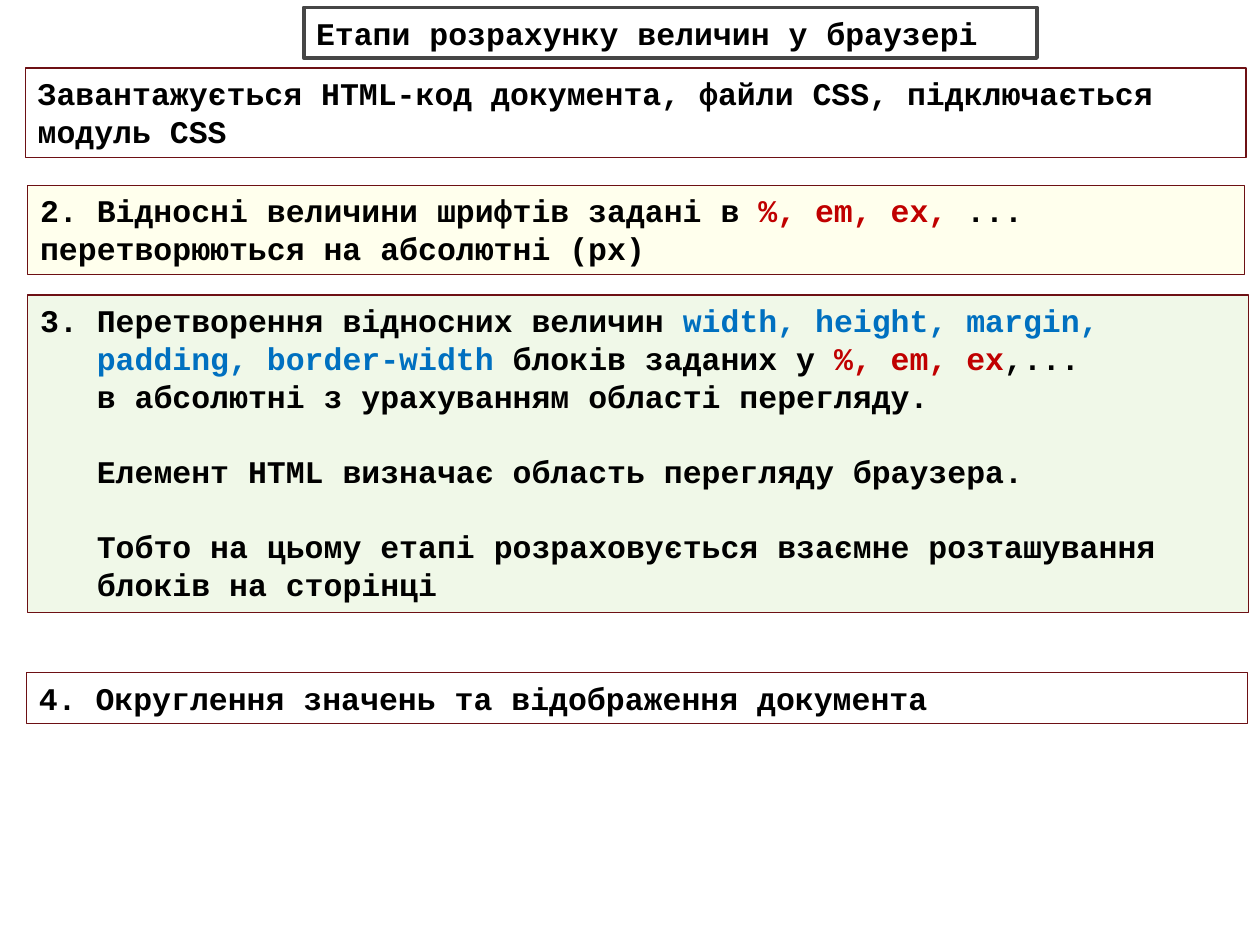
from lxml import etree
from pptx import Presentation
from pptx import util as u
from pptx.dml.color import RGBColor
from pptx.enum import shapes, text
from pptx.oxml.ns import qn

BLACK = RGBColor(0x00, 0x00, 0x00)
RED = RGBColor(0xC0, 0x00, 0x00)
BLUE = RGBColor(0x00, 0x70, 0xC0)
GREY = RGBColor(0x46, 0x46, 0x46)
MAROON = RGBColor(0x6D, 0x10, 0x14)
YELLOW = RGBColor(0xFF, 0xFF, 0x00)
GREEN = RGBColor(0x92, 0xD0, 0x50)

FONT, SIZE = "Courier New", 18
LINE = 21.5                  # height of one text line, points
HANG = 3 * 0.6 * SIZE        # width of the "3. " label, points

# A paragraph is (lines of space before, spans); a span is (words, colour).
TITLE = [(0, [("Етапи розрахунку величин у браузері", BLACK)])]
LOADING = [(0, [("Завантажується HTML-код документа, файли CSS, "
                 "підключається модуль CSS", BLACK)])]
FONT_SIZES = [(0, [("2. Відносні величини шрифтів задані в ", BLACK),
                   ("%, em, ex,", RED),
                   (" ... перетворюються на абсолютні (px)", BLACK)])]
BLOCK_SIZES = [
    (0, [("3. Перетворення відносних величин ", BLACK),
         ("width, height, margin,", BLUE)]),
    (0, [("padding, border-width ", BLUE), ("блоків заданих у ", BLACK),
         ("%, em, ex", RED), (",...", BLACK)]),
    (0, [("в абсолютні з урахуванням області перегляду.", BLACK)]),
    (1, [("Елемент HTML визначає область перегляду браузера.", BLACK)]),
    (1, [("Тобто на цьому етапі розраховується взаємне розташування", BLACK)]),
    (0, [("блоків на сторінці", BLACK)]),
]
ROUNDING = [(0, [("4. Округлення значень та відображення документа", BLACK)])]

# (left, top, width, height), fill, opacity in percent, paragraphs
STAGES = [
    ((0.2, 0.54, 9.69, 0.71), None, None, LOADING),
    ((0.22, 1.47, 9.66, 0.71), YELLOW, 7, FONT_SIZES),
    ((0.22, 2.34, 9.69, 2.52), GREEN, 13, BLOCK_SIZES),
    ((0.21, 5.34, 9.69, 0.4), None, None, ROUNDING),
]


def set_opacity(fill, percent):
    fill_colour = fill._xPr.find(qn("a:solidFill"))[0]
    etree.SubElement(fill_colour, qn("a:alpha"), val=str(percent * 1000))


def write_paragraphs(frame, paragraphs):
    """Lines after the first align with the text behind its number."""
    for index, (gap, spans) in enumerate(paragraphs):
        para = frame.paragraphs[0] if index == 0 else frame.add_paragraph()
        para.alignment = text.PP_ALIGN.LEFT
        para.space_before = u.Pt(gap * LINE)
        if index:
            para._p.get_or_add_pPr().set("marL", str(u.Pt(HANG)))
        for words, colour in spans:
            span = para.add_run()
            span.text = words
            span.font.name, span.font.size = FONT, u.Pt(SIZE)
            span.font.bold = True
            span.font.color.rgb = colour


def add_box(page, place, paragraphs, border, weight,
            fill=None, opacity=None, anchor=text.MSO_ANCHOR.TOP):
    box = page.shapes.add_shape(shapes.MSO_SHAPE.RECTANGLE,
                                *(u.Inches(length) for length in place))
    box.shadow.inherit = False
    if fill is None:
        box.fill.background()
    else:
        box.fill.solid()
        box.fill.fore_color.rgb = fill
        set_opacity(box.fill, opacity)
    box.line.color.rgb = border
    box.line.width = u.Pt(weight)
    frame = box.text_frame
    frame.word_wrap = True
    frame.auto_size = text.MSO_AUTO_SIZE.SHAPE_TO_FIT_TEXT
    frame.vertical_anchor = anchor
    write_paragraphs(frame, paragraphs)


def main():
    deck = Presentation()
    deck.slide_width, deck.slide_height = u.Inches(10), u.Inches(7.5)
    page = deck.slides.add_slide(deck.slide_layouts[6])
    add_box(page, (2.41, 0.06, 5.82, 0.4), TITLE, GREY, 2.25,
            anchor=text.MSO_ANCHOR.MIDDLE)
    for place, fill, opacity, paragraphs in STAGES:
        add_box(page, place, paragraphs, MAROON, 0.75, fill, opacity)
    deck.save("out.pptx")


if __name__ == "__main__":
    main()
